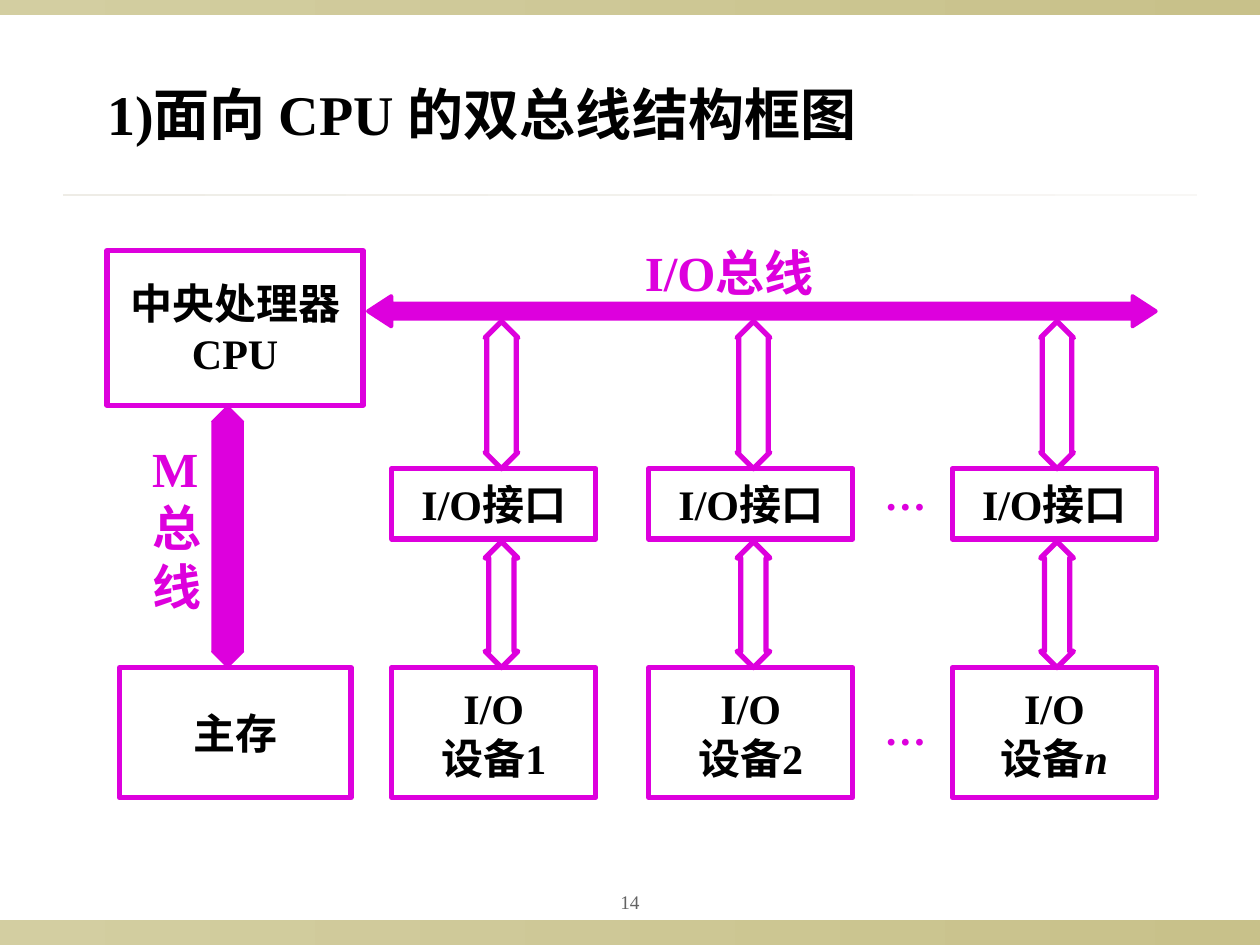
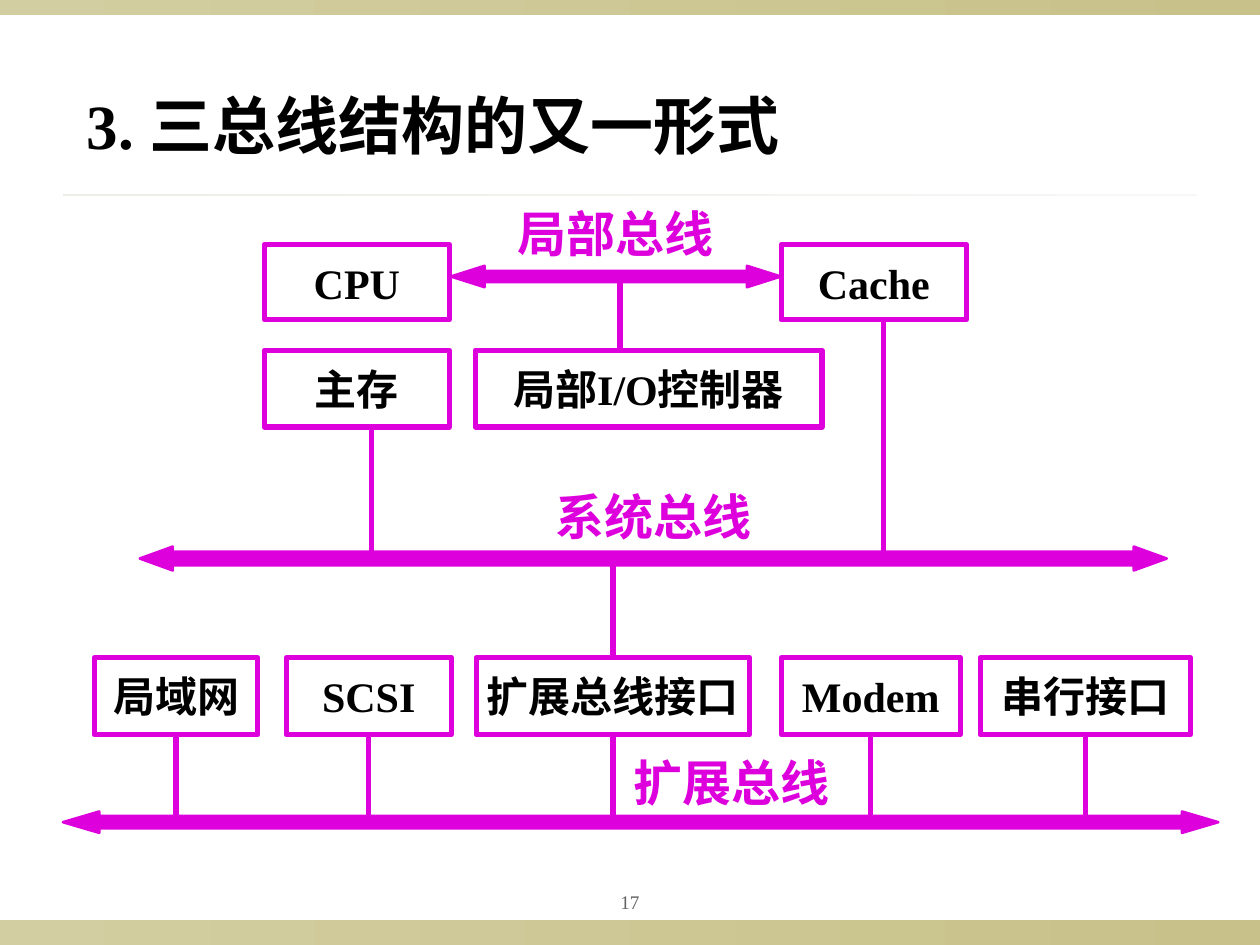
from dataclasses import dataclass

from lxml import etree
from pptx import Presentation
from pptx.dml.color import RGBColor
from pptx.enum.shapes import MSO_CONNECTOR, MSO_SHAPE
from pptx.enum.text import MSO_ANCHOR, PP_ALIGN
from pptx.oxml.ns import qn
from pptx.util import Cm, Pt

RECTANGLE = MSO_SHAPE.RECTANGLE
HORIZONTAL_ARROW = MSO_SHAPE.LEFT_RIGHT_ARROW
VERTICAL_ARROW = MSO_SHAPE.UP_DOWN_ARROW
STRAIGHT = MSO_CONNECTOR.STRAIGHT
LEFT, CENTER = PP_ALIGN.LEFT, PP_ALIGN.CENTER
MIDDLE = MSO_ANCHOR.MIDDLE
TOP_SIDE, BOTTOM_SIDE = 0, 2


@dataclass(frozen=True)
class Theme:
    bus: RGBColor = RGBColor(0xDD, 0x00, 0xDD)
    ink: RGBColor = RGBColor(0x00, 0x00, 0x00)
    page: RGBColor = RGBColor(0x63, 0x63, 0x63)
    band: tuple = ("D3CEA1", "C8C18A")
    rule: tuple = ("EEECE6", "F8F7F5")
    latin: str = "Times New Roman"
    cjk: str = "Noto Sans CJK SC"
    page_size: int = 11
    box_size: int = 24
    label_size: int = 28
    dual_title_size: int = 32
    triple_title_size: int = 36
    stroke: float = 3
    line_height: float = 1.2


THEME = Theme()
BOX_TEXT = {"size": Pt(THEME.box_size), "bold": True, "name": THEME.latin}
BOX_TEXT_CJK = {**BOX_TEXT, "name": THEME.cjk}
LABEL_TEXT = {**BOX_TEXT, "size": Pt(THEME.label_size)}
LABEL_TEXT_CJK = {**LABEL_TEXT, "name": THEME.cjk}
PAGE_TEXT = {"size": Pt(THEME.page_size), "bold": False, "name": THEME.latin}


def lengths(place):
    return [Cm(value) for value in place]


def write(shape, lines, style, color, align):
    frame = shape.text_frame
    layout = {"word_wrap": True, "vertical_anchor": MIDDLE, "margin_left": 0,
              "margin_right": 0, "margin_top": 0, "margin_bottom": 0}
    for key, value in layout.items():
        setattr(frame, key, value)
    for index, line in enumerate(lines):
        paragraph = frame.add_paragraph() if index else frame.paragraphs[0]
        paragraph.alignment = align
        if len(lines) > 1:
            paragraph.line_spacing = Pt(style["size"].pt * THEME.line_height)
        parts = (line,) if isinstance(line, str) else line
        for position, text in enumerate(parts):
            run = paragraph.add_run()
            run.text = text
            for key, value in style.items():
                setattr(run.font, key, value)
            if position:
                run.font.italic = True
            run.font.color.rgb = color
            east_asian = etree.SubElement(run.font._element, qn("a:ea"))
            east_asian.set("typeface", THEME.cjk)


def add_label(slide, place, lines, style=LABEL_TEXT, color=THEME.bus, align=LEFT):
    label = slide.shapes.add_textbox(*lengths(place))
    write(label, lines, style, color, align)


def add_box(slide, place, lines, style=BOX_TEXT):
    box = slide.shapes.add_shape(RECTANGLE, *lengths(place))
    box.shadow.inherit = False
    box.fill.background()
    box.line.color.rgb = THEME.bus
    box.line.width = Pt(THEME.stroke)
    write(box, lines, style, THEME.ink, CENTER)
    return box


def add_bus(slide, kind, place, shaft, head, stroke, filled=True):
    bus = slide.shapes.add_shape(kind, *lengths(place))
    bus.shadow.inherit = False
    bus.adjustments[0] = shaft
    bus.adjustments[1] = head
    if filled:
        bus.fill.solid()
        bus.fill.fore_color.rgb = THEME.bus
    else:
        bus.fill.background()
    bus.line.color.rgb = THEME.bus
    bus.line.width = Pt(stroke)


def add_wire(slide, x, start, end):
    wire = slide.shapes.add_connector(STRAIGHT, x, start, x, end)
    wire.line.color.rgb = THEME.bus
    wire.line.width = Pt(THEME.stroke)
    etree.SubElement(wire._element.spPr, qn("a:effectLst"))
    return wire


def add_wire_from(slide, box, side, end):
    x = box.left + box.width // 2
    start = box.top + (box.height if side == BOTTOM_SIDE else 0)
    add_wire(slide, x, start, end).begin_connect(box, side)


def add_band(slide, place, colors):
    band = slide.shapes.add_shape(RECTANGLE, *lengths(place))
    band.shadow.inherit = False
    band.line.fill.background()
    band.fill.gradient()
    band.fill.gradient_angle = 0
    for stop, color in zip(band.fill.gradient_stops, colors):
        stop.color.rgb = RGBColor.from_string(color)


def add_page(deck, title, title_place, title_size, number):
    slide = deck.slides.add_slide(deck.slide_layouts[6])
    add_band(slide, (0, 18.54, 25.4, 0.51), THEME.band)
    add_band(slide, (0, 0, 25.4, 0.3), THEME.band)
    add_band(slide, (1.27, 3.91, 22.86, 0.05), THEME.rule)
    add_label(slide, (11.43, 17.78, 2.54, 0.79), [number], PAGE_TEXT,
              THEME.page, CENTER)
    add_label(slide, title_place, [title],
              {**LABEL_TEXT, "size": Pt(title_size)}, THEME.ink)
    return slide


def build_dual_bus(deck):
    slide = add_page(deck, "1)面向 CPU 的双总线结构框图",
                     (2.16, 1.47, 18, 1.63), THEME.dual_title_size, "14")
    add_box(slide, (2.16, 5.05, 5.16, 3.12), ["中央处理器", "CPU"])
    add_box(slide, (2.41, 13.46, 4.67, 2.62), ["主存"])
    add_label(slide, (13, 4.88, 5.03, 1.2), ["I/O总线"])
    add_bus(slide, HORIZONTAL_ARROW, (7.42, 5.97, 15.88, 0.61), 0.5, 0.77, 2.25)
    add_label(slide, (3.07, 8.84, 1.2, 3.56), ["M", "总", "线"])
    add_bus(slide, VERTICAL_ARROW, (4.27, 8.18, 0.64, 5.28), 0.5, 0.98, 0.75)

    channels = [(7.9, 9.78, ("设备1",)), (13.08, 14.86, ("设备2",)),
                (19.2, 20.98, ("设备", "n"))]
    for box_left, link_left, device in channels:
        add_box(slide, (box_left, 9.45, 4.11, 1.42), ["I/O接口"])
        add_box(slide, (box_left, 13.46, 4.11, 2.62), ["I/O", device])
        for top, height, head in [(6.48, 2.97, 0.9), (10.92, 2.54, 0.77)]:
            add_bus(slide, VERTICAL_ARROW, (link_left, top, 0.66, height),
                    0.5, head, THEME.stroke, filled=False)
    for top in (9.45, 14.17):
        add_label(slide, (17.83, top, 1.04, 1.02), ["…"], BOX_TEXT)


def build_triple_bus(deck):
    slide = add_page(deck, "3. 三总线结构的又一形式",
                     (1.75, 1.65, 16, 1.7), THEME.triple_title_size, "17")
    add_box(slide, (5.33, 4.93, 3.73, 1.52), ["CPU"])
    add_box(slide, (15.75, 4.93, 3.73, 1.52), ["Cache"])
    add_box(slide, (5.33, 7.06, 3.73, 1.55), ["主存"], BOX_TEXT_CJK)
    add_box(slide, (9.58, 7.06, 6.99, 1.55), ["局部I/O控制器"])

    buses = [("局部总线", (10.44, 4.09), (9.09, 5.36, 6.65, 0.43), 0.53, 1.58),
             ("系统总线", (11.2, 9.8), (2.82, 11.02, 20.7, 0.48), 0.58, 1.38),
             ("扩展总线", (12.78, 15.16), (1.27, 16.36, 23.29, 0.43), 0.58, 1.7)]
    for name, label_corner, place, shaft, head in buses:
        add_label(slide, (*label_corner, 4.2, 1.2), [name], LABEL_TEXT_CJK)
        add_bus(slide, HORIZONTAL_ARROW, place, shaft, head, 1.5)

    for x, start, end in [(12.5, 5.56, 7.06), (7.49, 8.56, 11.33),
                          (17.81, 6.43, 11.28)]:
        add_wire(slide, *lengths((x, start, end)))

    units = [("局域网", 1.9, 3.3, BOX_TEXT_CJK),
             ("SCSI", 5.77, 3.33, BOX_TEXT),
             ("扩展总线接口", 9.6, 5.51, BOX_TEXT_CJK),
             ("Modem", 15.75, 3.61, BOX_TEXT),
             ("串行接口", 19.76, 4.24, BOX_TEXT_CJK)]
    boxes = {}
    for name, left, width, style in units:
        boxes[name] = add_box(slide, (left, 13.26, width, 1.55), [name], style)
        add_wire_from(slide, boxes[name], BOTTOM_SIDE, Cm(16.6))
    add_wire_from(slide, boxes["扩展总线接口"], TOP_SIDE, Cm(11.3))


def main():
    deck = Presentation()
    deck.slide_width, deck.slide_height = Cm(25.4), Cm(19.05)
    build_dual_bus(deck)
    build_triple_bus(deck)
    deck.save("out.pptx")


if __name__ == "__main__":
    main()
